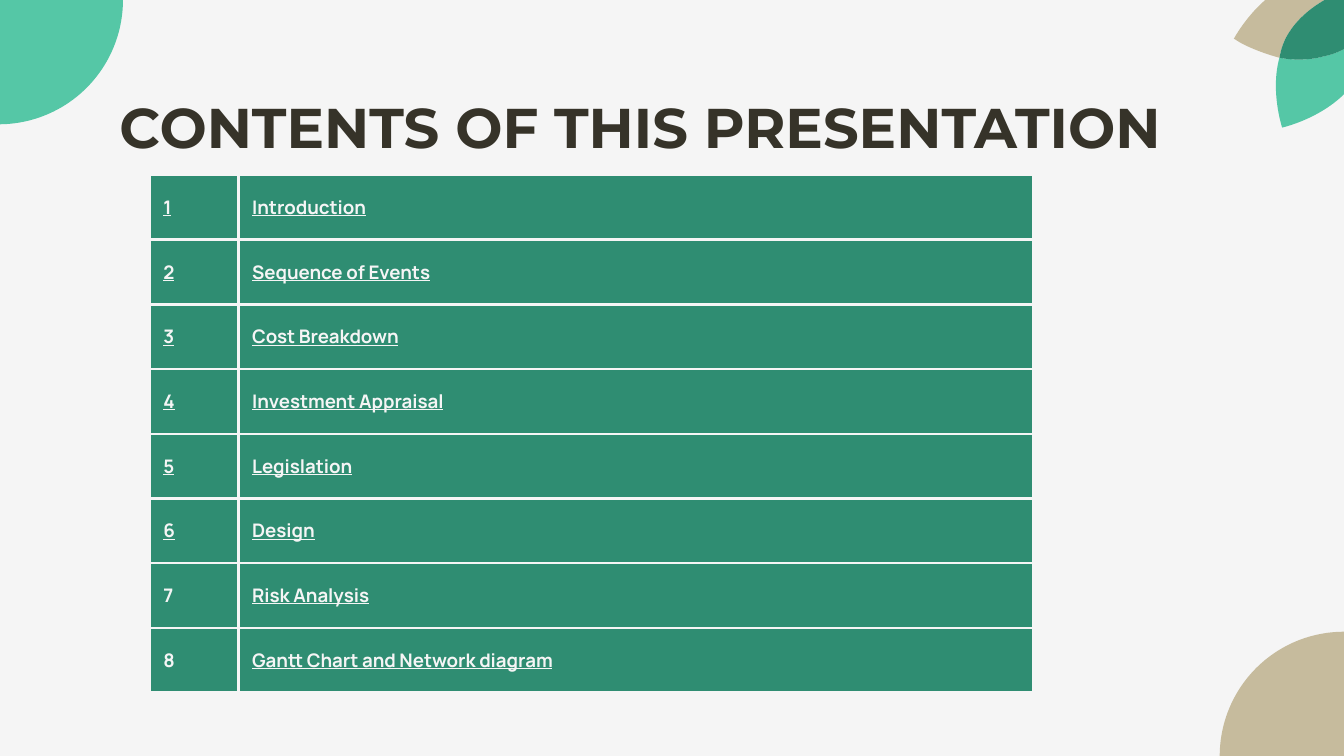
from lxml import etree
from pptx import Presentation
from pptx.dml.color import RGBColor
from pptx.enum.shapes import MSO_SHAPE
from pptx.enum.text import MSO_ANCHOR
from pptx.oxml.ns import qn
from pptx.util import Inches, Pt

PIE = MSO_SHAPE.PIE
TOP, MIDDLE = MSO_ANCHOR.TOP, MSO_ANCHOR.MIDDLE

WIDTH = Inches(10)
HEIGHT = WIDTH * 9 // 16
PAPER, INK = "F5F5F5", "363329"
MINT, SAND, GREEN = "55C7A6", "C6BB9D", "2F8D72"

SECTIONS = [
    "Introduction", "Sequence of Events", "Cost Breakdown",
    "Investment Appraisal", "Legislation", "Design", "Risk Analysis",
    "Gantt Chart and Network diagram",
]
UNDERLINED_NUMBERS = 6

# Petal outlines in percent of the slide width: a start point, then curves
# of two control points and an end point.
MINT_PETAL = [
    (95.4, 9.5), (95.4, 9.5), (99.4, 8.6), (101.1, 5.6),
    (101.7, 4.5), (102, 3.2), (102, 2.1),
    (101.1, 3), (100, 3.9), (98.5, 4.2),
    (97.4, 4.5), (96.2, 4.5), (95.2, 4.3),
    (94.5, 6.8), (95.4, 9.5), (95.4, 9.5),
]
SAND_PETAL = [
    (92, 3), (92.4, 3.3), (93.7, 3.9), (95.2, 4.3),
    (95.3, 3.7), (95.5, 3.1), (95.8, 2.6),
    (97.5, -0.3), (101.5, -1.2), (101.5, -1.2),
    (101.5, -1.2), (102, 0.3), (102, 2.1),
    (103.1, 0.9), (103.7, -0.3), (103.7, -0.3),
    (103.7, -0.3), (103.6, -0.3), (103.5, -0.4),
    (102.8, -0.8), (99.8, -2.4), (97, -1.6),
    (93.7, -0.7), (91.8, 2.9), (91.8, 2.9),
    (91.8, 2.9), (91.9, 2.9), (92, 3),
]
PETAL_OVERLAP = [
    (95.2, 4.3), (96.2, 4.5), (97.4, 4.5), (98.5, 4.2),
    (100, 3.9), (101.1, 3), (102, 2.1),
    (102, 0.3), (101.5, -1.2), (101.5, -1.2),
    (101.5, -1.2), (97.5, -0.3), (95.8, 2.6),
    (95.5, 3.1), (95.3, 3.7), (95.2, 4.3),
]


def across(percent):
    return round(WIDTH * percent / 100)


def down(percent):
    return round(HEIGHT * percent / 100)


def paint(fill, color):
    fill.solid()
    fill.fore_color.rgb = RGBColor.from_string(color)


def finish_shape(shape, color):
    shape.shadow.inherit = False
    paint(shape.fill, color)
    shape.line.fill.background()


def bend_lines(shape):
    """Turn each three line segments of a freeform into one cubic curve."""
    segments = list(shape._element.iter(qn("a:lnTo")))
    for i in range(0, len(segments), 3):
        curve = etree.Element(qn("a:cubicBezTo"))
        segments[i].addprevious(curve)
        for segment in segments[i:i + 3]:
            curve.append(segment[0])
            segment.getparent().remove(segment)


def add_petal(slide, outline, color):
    points = [(across(x), across(y)) for x, y in outline]
    builder = slide.shapes.build_freeform(*points[0])
    builder.add_line_segments(points[1:], close=True)
    petal = builder.convert_to_shape()
    bend_lines(petal)
    finish_shape(petal, color)


def add_corner(slide, center_x, center_y, color, rotation=0):
    """Add a quarter disc whose tip is at the given center."""
    size = across(18.5)
    quarter = slide.shapes.add_shape(
        PIE, center_x - size // 2, center_y - size // 2, size, size)
    quarter.adjustments[0] = 0
    quarter.adjustments[1] = 54.45
    quarter.rotation = rotation
    finish_shape(quarter, color)


def style_text(paragraph, font_name, size, color, underline=None):
    for run in paragraph.runs:
        font = run.font
        font.name, font.size, font.bold = font_name, Pt(size), True
        font.color.rgb = RGBColor.from_string(color)
        font.underline = underline


def add_title(slide, text):
    box = slide.shapes.add_textbox(
        across(7.9), down(10.5), across(84.3), down(11.2))
    frame = box.text_frame
    frame.word_wrap = True
    frame.vertical_anchor = TOP
    frame.margin_left = frame.margin_right = Inches(0.1)
    frame.margin_top = frame.margin_bottom = Inches(0.1)
    frame.text = text
    style_text(frame.paragraphs[0], "Montserrat", 30, INK)


def add_borders(cell, color, width):
    properties = cell._tc.get_or_add_tcPr()
    for side in ("a:lnL", "a:lnR", "a:lnT", "a:lnB"):
        line = etree.SubElement(properties, qn(side), w=str(Pt(width)))
        solid = etree.SubElement(line, qn("a:solidFill"))
        etree.SubElement(solid, qn("a:srgbClr"), val=color)


def fill_cell(cell, text, underline):
    add_borders(cell, PAPER, 1.5)
    paint(cell.fill, GREEN)
    cell.vertical_anchor = MIDDLE
    cell.margin_left = cell.margin_right = Inches(0.1)
    cell.margin_top = cell.margin_bottom = 0
    cell.text_frame.text = text
    style_text(cell.text_frame.paragraphs[0], "Manrope", 10, PAPER, underline)


def add_contents(slide, sections):
    number_width, name_width = across(6.6), across(59.1)
    row_height = down(8.56)
    table = slide.shapes.add_table(
        len(sections), 2, across(11.16), down(23.13),
        number_width + name_width, row_height * len(sections)).table
    table.first_row = table.horz_banding = False
    table.columns[0].width = number_width
    table.columns[1].width = name_width
    for number, name in enumerate(sections, start=1):
        row = table.rows[number - 1]
        row.height = row_height
        fill_cell(row.cells[0], str(number), number <= UNDERLINED_NUMBERS)
        fill_cell(row.cells[1], name, True)


def main():
    deck = Presentation()
    deck.slide_width, deck.slide_height = WIDTH, HEIGHT
    slide = deck.slides.add_slide(deck.slide_layouts[6])
    paint(slide.background.fill, PAPER)

    add_petal(slide, MINT_PETAL, MINT)
    add_petal(slide, SAND_PETAL, SAND)
    add_petal(slide, PETAL_OVERLAP, GREEN)
    add_corner(slide, across(-0.1), down(0), MINT)
    add_corner(slide, across(100), down(100), SAND, rotation=180)
    add_title(slide, "CONTENTS OF THIS PRESENTATION")
    add_contents(slide, SECTIONS)

    deck.save("out.pptx")


if __name__ == "__main__":
    main()
